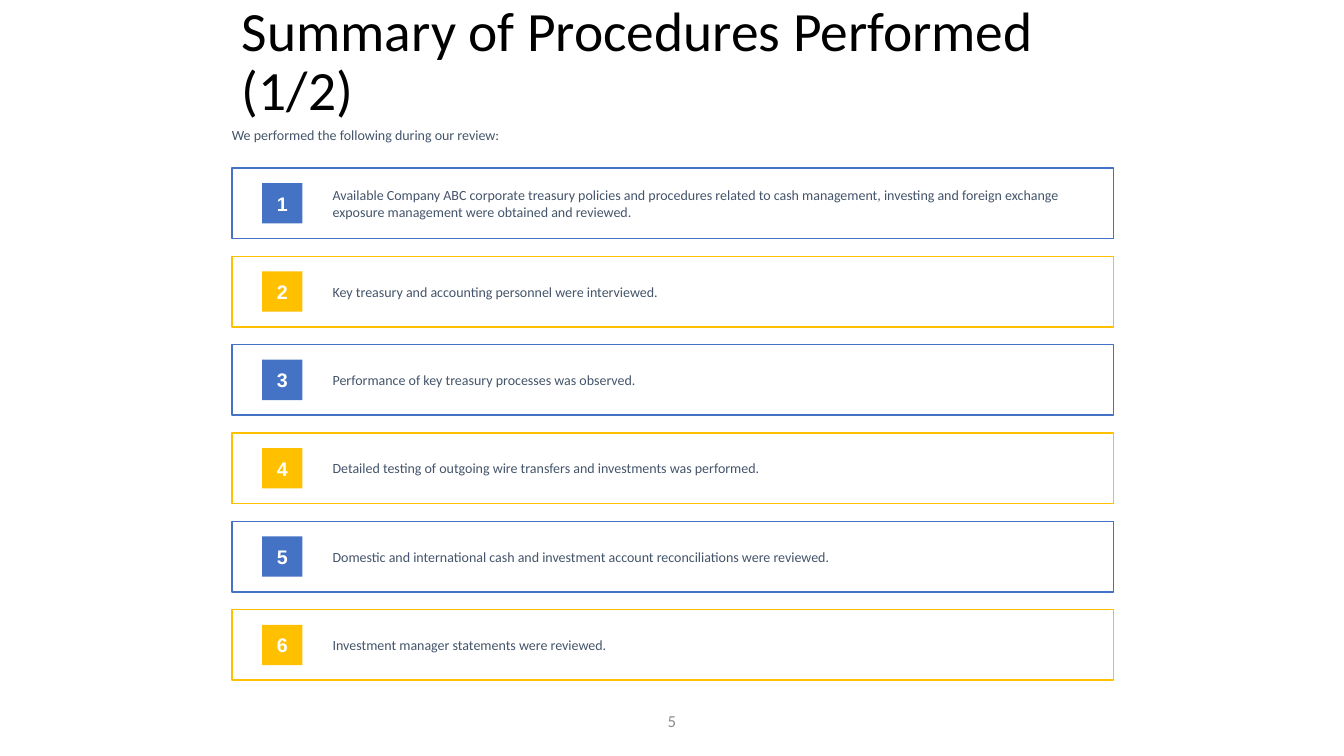
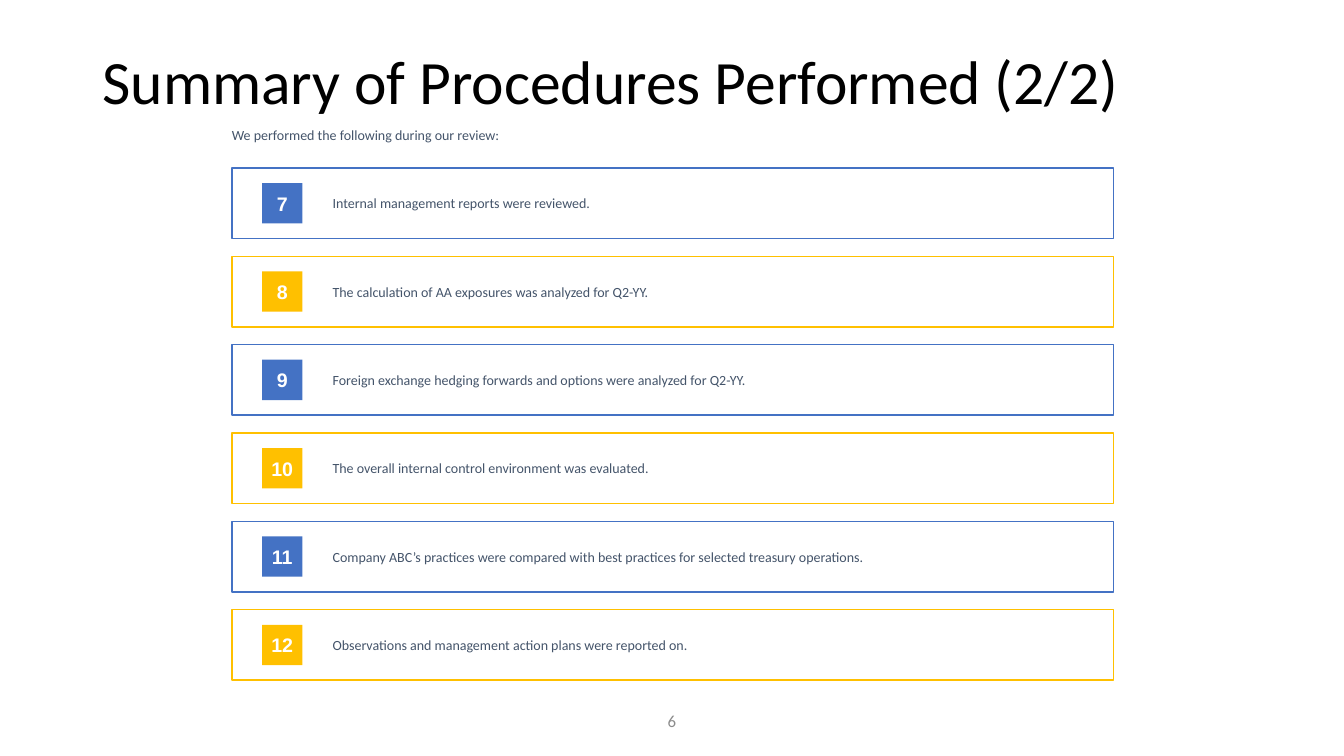
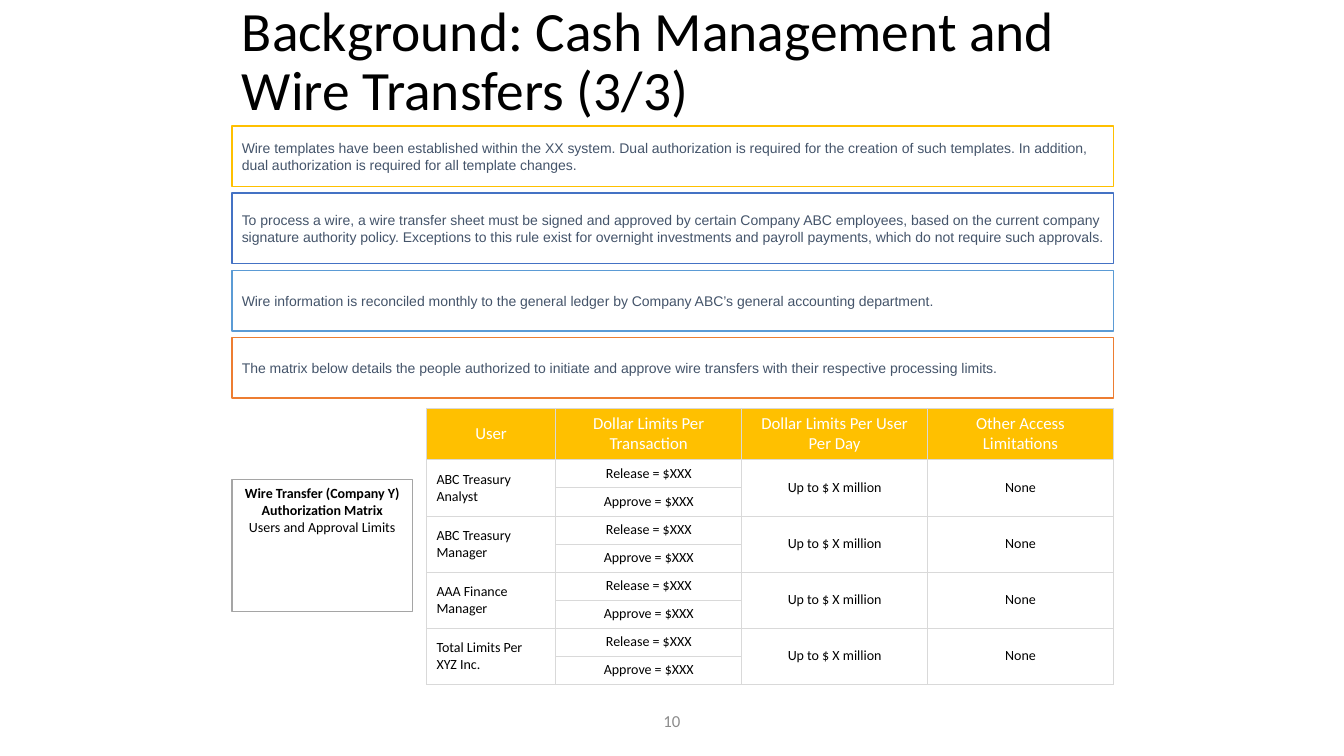
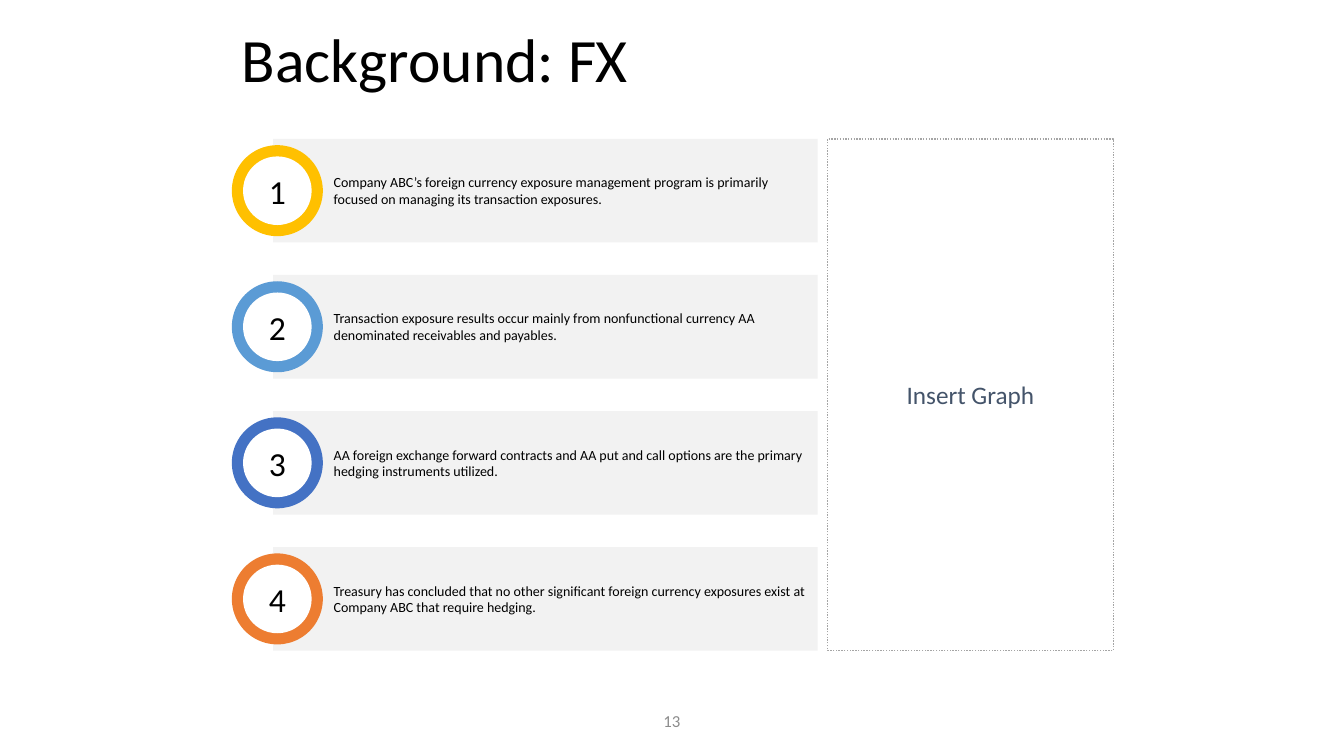
"""Builds four treasury review slides."""
from lxml import etree
from pptx import Presentation
from pptx.dml.color import RGBColor
from pptx.enum.dml import MSO_LINE
from pptx.enum.shapes import MSO_SHAPE
from pptx.enum.text import MSO_ANCHOR, MSO_AUTO_SIZE, PP_ALIGN
from pptx.oxml.ns import qn
from pptx.util import Pt

RECT, OVAL = MSO_SHAPE.RECTANGLE, MSO_SHAPE.OVAL
LEFT, MID = PP_ALIGN.LEFT, PP_ALIGN.CENTER
TOP, CENTER = MSO_ANCHOR.TOP, MSO_ANCHOR.MIDDLE
DOTS = MSO_LINE.ROUND_DOT
NO_FIT = MSO_AUTO_SIZE.NONE

BLUE, GOLD, SKY, ORANGE = "4472C4", "FFC000", "5B9BD5", "ED7D31"
SLATE, BLACK, WHITE = "44546A", "000000", "FFFFFF"
GRAY, PALE, RULE, DIM = "A5A5A5", "F2F2F2", "D9D9D9", "8C8C8C"
SANS, ARIAL = "Calibri", "Arial"

EDGE, SPAN = 165.6, 630  # left edge and width of the content column
PAD = (7.2, 3.6, 7.2, 3.6)
FLAT = (0, 0, 0, 0)


def rgb(code):
    """Turn a hex string into a colour."""
    return RGBColor.from_string(code)


def pts(*nums):
    """Turn numbers into point lengths."""
    return [Pt(num) for num in nums]


def write(frame, text, size=10, color=BLACK, font=SANS, bold=False,
          align=LEFT, lead=None, more=False):
    """Put one formatted paragraph in a frame; more adds it after the others."""
    para = frame.add_paragraph() if more else frame.paragraphs[0]
    para.alignment = align
    if lead:
        para.line_spacing = lead
    run = para.add_run()
    run.text = text
    face = run.font
    face.size, face.name, face.bold = Pt(size), font, bold
    face.color.rgb = rgb(color)


def setup(frame, pad=PAD, anchor=CENTER):
    """Set wrapping, insets and anchor of a text frame."""
    frame.word_wrap, frame.auto_size = True, NO_FIT
    frame.vertical_anchor = anchor
    (frame.margin_left, frame.margin_top,
     frame.margin_right, frame.margin_bottom) = pts(*pad)


def frame_cell(cell, color, width):
    """Draw the four borders of a table cell."""
    props = cell._tc.get_or_add_tcPr()
    for index, side in enumerate(("a:lnL", "a:lnR", "a:lnT", "a:lnB")):
        line = etree.Element(qn(side), w=str(Pt(width)))
        fill = etree.SubElement(line, qn("a:solidFill"))
        etree.SubElement(fill, qn("a:srgbClr"), val=color)
        props.insert(index, line)


class Deck:
    """Holds the presentation, its style and the current slide."""

    def __init__(self):
        """Start a wide presentation."""
        self.show = Presentation()
        self.show.slide_width, self.show.slide_height = pts(960, 540)
        self.slide = None

    def page(self, title, number, size=39.6, at=(EDGE, 0, SPAN, 90)):
        """Add a slide with its title and page number."""
        self.slide = self.show.slides.add_slide(self.show.slide_layouts[5])
        head = self.slide.shapes.title
        head.left, head.top, head.width, head.height = pts(*at)
        setup(head.text_frame)
        write(head.text_frame, title, size=size, lead=0.9)
        self.label(number, (318, 500.4, 324, 28.8),
                   size=12, color=DIM, align=MID)

    def label(self, text, at, pad=PAD, anchor=CENTER, **style):
        """Add a text box."""
        frame = self.slide.shapes.add_textbox(*pts(*at)).text_frame
        setup(frame, pad, anchor)
        write(frame, text, **style)

    def box(self, at, kind=RECT, fill=None, line=None, dash=None,
            text=None, pad=PAD, anchor=CENTER, **style):
        """Add a flat shape, with text if given, and return it."""
        shape = self.slide.shapes.add_shape(kind, *pts(*at))
        shape.shadow.inherit = False
        if fill:
            shape.fill.solid()
            shape.fill.fore_color.rgb = rgb(fill)
        else:
            shape.fill.background()
        if line:
            shape.line.color.rgb = rgb(line)
            shape.line.width = Pt(1)
            if dash:
                shape.line.dash_style = dash
        else:
            shape.line.fill.background()
        if text:
            setup(shape.text_frame, pad, anchor)
            write(shape.text_frame, text, **style)
        return shape

    def steps(self, items, first):
        """Stack outlined steps, each with a numbered square."""
        self.label("We performed the following during our review:",
                   (EDGE, 90.7, SPAN, 14.4), pad=FLAT, anchor=TOP,
                   color=SLATE)
        for index, item in enumerate(items):
            top = 120 + index * 63.1
            color = (BLUE, GOLD)[index % 2]
            self.box((EDGE, top, SPAN, 50.4), line=color, text=item,
                     pad=(72, 0, 3.6, 0), color=SLATE)
            self.box((EDGE + 21.6, top + 10.8, 28.8, 28.8), fill=color,
                     text=str(first + index), pad=FLAT, size=14,
                     color=WHITE, font=ARIAL, bold=True, align=MID)

    def notes(self, items, top, gap):
        """Stack outlined notes of given height and colour."""
        for text, high, color in items:
            self.box((EDGE, top, SPAN, high), fill=WHITE, line=color,
                     text=text, color=SLATE, font=ARIAL)
            top += high + gap

    def rings(self, items):
        """Stack shaded bars, each with a numbered ring."""
        for index, (text, color) in enumerate(items):
            top = 99.2 + index * 97.2
            self.box((195.2, top, 388.8, 74), fill=PALE, text=text,
                     pad=(43.2, 0, 7.2, 0))
            self.box((EDGE, top + 4.5, 65, 65), OVAL, fill=color)
            self.box((EDGE + 8, top + 12.5, 49, 49), OVAL, fill=WHITE,
                     text=str(index + 1), pad=FLAT, size=24, align=MID)

    def cell(self, cell, text, fill=None, **style):
        """Fill and write one table cell."""
        cell.vertical_anchor = CENTER
        if fill:
            cell.fill.solid()
            cell.fill.fore_color.rgb = rgb(fill)
        else:
            cell.fill.background()
        if text:
            write(cell.text_frame, text, **style)
        frame_cell(cell, RULE, 0.5)

    def matrix(self, heads, users, at, wide, high):
        """Add the limits table, two rows for each user."""
        rows = 1 + 2 * len(users)
        table = self.slide.shapes.add_table(
            rows, len(heads), *pts(*at, sum(wide), sum(high))).table
        table.first_row = table.horz_banding = False
        for col, width in zip(table.columns, wide):
            col.width = Pt(width)
        for index, row in enumerate(table.rows):
            row.height = Pt(high[min(index, 1)])
        for col, head in enumerate(heads):
            self.cell(table.cell(0, col), head, GOLD,
                      size=12, color=WHITE, align=MID)
        for index, user in enumerate(users):
            row = 1 + 2 * index
            pair = ((user, "Release = $XXX", "Up to $ X million", "None"),
                    ("", "Approve = $XXX", "", ""))
            for down, texts in enumerate(pair):
                for col, text in enumerate(texts):
                    self.cell(table.cell(row + down, col), text,
                              align=MID if col else LEFT)
            for col in (0, 2, 3):
                table.cell(row, col).merge(table.cell(row + 1, col))


deck = Deck()

deck.page("Summary of Procedures Performed (1/2)", "5")
deck.steps((
    "Available Company ABC corporate treasury policies and procedures related "
    "to cash management, investing and foreign exchange exposure management "
    "were obtained and reviewed.",
    "Key treasury and accounting personnel were interviewed.",
    "Performance of key treasury processes was observed.",
    "Detailed testing of outgoing wire transfers and investments was "
    "performed.",
    "Domestic and international cash and investment account reconciliations "
    "were reviewed.",
    "Investment manager statements were reviewed.",
), first=1)

deck.page("Summary of Procedures Performed (2/2)", "6", size=44,
          at=(66, 7.9, 828, 104.4))
deck.steps((
    "Internal management reports were reviewed.",
    "The calculation of AA exposures was analyzed for Q2-YY.",
    "Foreign exchange hedging forwards and options were analyzed for Q2-YY.",
    "The overall internal control environment was evaluated.",
    "Company ABC’s practices were compared with best practices for selected "
    "treasury operations.",
    "Observations and management action plans were reported on.",
), first=7)

deck.page("Background: Cash Management and Wire Transfers (3/3)", "10")
deck.notes((
    ("Wire templates have been established within the XX system. Dual "
     "authorization is required for the creation of such templates. In "
     "addition, dual authorization is required for all template changes.",
     43.2, GOLD),
    ("To process a wire, a wire transfer sheet must be signed and approved by "
     "certain Company ABC employees, based on the current company signature "
     "authority policy. Exceptions to this rule exist for overnight "
     "investments and payroll payments, which do not require such approvals.",
     50.4, BLUE),
    ("Wire information is reconciled monthly to the general ledger by Company "
     "ABC’s general accounting department.", 43.2, SKY),
    ("The matrix below details the people authorized to initiate and approve "
     "wire transfers with their respective processing limits.",
     43.2, ORANGE),
), top=90, gap=4.8)
side = deck.box((EDGE, 342.5, 129, 94.3), line=GRAY, anchor=TOP, bold=True,
                text="Wire Transfer (Company Y) Authorization Matrix",
                align=MID)
write(side.text_frame, "Users and Approval Limits", align=MID, more=True)
deck.matrix(
    ("User", "Dollar Limits Per Transaction",
     "Dollar Limits Per User Per Day", "Other Access Limitations"),
    ("ABC Treasury Analyst", "ABC Treasury Manager", "AAA Finance Manager",
     "Total Limits Per XYZ Inc."),
    at=(304.6, 291.6), wide=(92.4, 132.8, 132.8, 132.8),
    high=(36.8,) + (20.05,) * 8)

deck.page("Background: FX", "13", size=44)
deck.rings((
    ("Company ABC’s foreign currency exposure management program is primarily "
     "focused on managing its transaction exposures.", GOLD),
    ("Transaction exposure results occur mainly from nonfunctional currency "
     "AA denominated receivables and payables.", SKY),
    ("AA foreign exchange forward contracts and AA put and call options are "
     "the primary hedging instruments utilized.", BLUE),
    ("Treasury has concluded that no other significant foreign currency "
     "exposures exist at Company ABC that require hedging.", ORANGE),
))
deck.box((591.2, 99.2, 204, 365.6), fill=WHITE, line=GRAY, dash=DOTS,
         text="Insert Graph", size=18, color=SLATE, align=MID)

deck.show.save("out.pptx")
